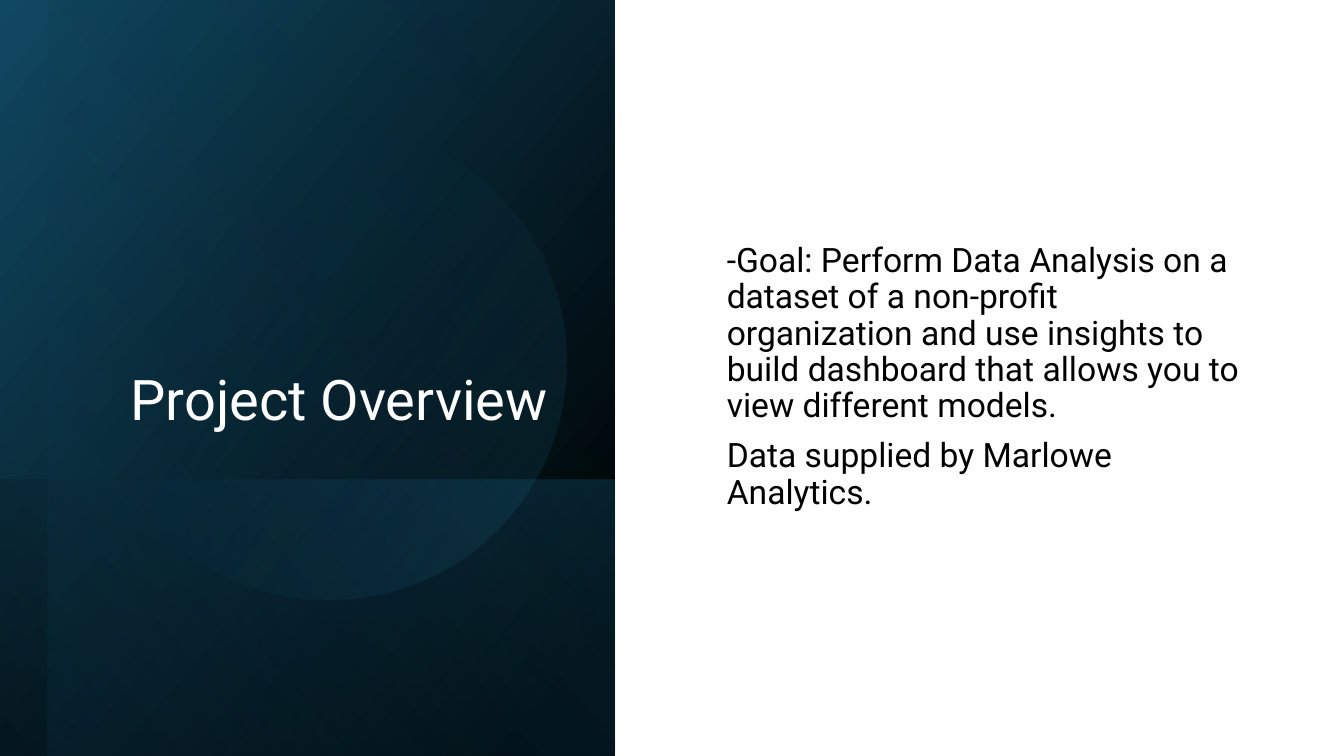
import pptx
import pptx.util
import pptx.oxml
import pptx.oxml.ns
import pptx.dml.color
import pptx.enum.shapes
import pptx.enum.text
from pptx.util import Inches

THEME = {
    "font": "Roboto",
    "title_size": 40,
    "body_size": 24,
    "white": "FFFFFF",
    "black": "000000",
    "navy": "104862",
    "teal": "156082",
    "sky": "46B1E1",
}
RECTANGLE = pptx.enum.shapes.MSO_SHAPE.RECTANGLE
OVAL = pptx.enum.shapes.MSO_SHAPE.OVAL
ALIGN = pptx.enum.text.PP_ALIGN
ANCHOR = pptx.enum.text.MSO_ANCHOR


def add_gradient_shape(kind, box, rotation, flipped, angle, stops):
    shape = slide.shapes.add_shape(kind, *map(Inches, box))
    shape.shadow.inherit = False
    shape.line.fill.background()
    shape.rotation = rotation
    properties = shape._element.spPr
    if flipped:
        properties.xfrm.set("flipH", "1")
    stop_xml = "".join(
        f'<a:gs pos="{position * 1000}"><a:srgbClr val="{THEME[color]}">'
        f'<a:alpha val="{opacity * 1000}"/></a:srgbClr></a:gs>'
        for position, color, opacity in stops
    )
    gradient = pptx.oxml.parse_xml(
        f'<a:gradFill {pptx.oxml.ns.nsdecls("a")} rotWithShape="1">'
        f'<a:gsLst>{stop_xml}</a:gsLst>'
        f'<a:lin ang="{angle * 60000}" scaled="0"/></a:gradFill>'
    )
    properties.insert(2, gradient)


def add_text(box, paragraphs, size, color, anchor, paragraph_format):
    frame = slide.shapes.add_textbox(*map(Inches, box)).text_frame
    frame.word_wrap = True
    frame.vertical_anchor = anchor
    frame.text = "\n".join(paragraphs)
    for paragraph in frame.paragraphs:
        for name, value in paragraph_format.items():
            setattr(paragraph, name, value)
        font = paragraph.runs[0].font
        for name, value in {"name": THEME["font"], "size": pptx.util.Pt(THEME[size])}.items():
            setattr(font, name, value)
        font.color.rgb = pptx.dml.color.RGBColor.from_string(THEME[color])


presentation = pptx.Presentation()
presentation.slide_width = Inches(13.33)
presentation.slide_height = Inches(7.5)
slide = presentation.slides.add_slide(presentation.slide_layouts[6])

panel_layers = [
    (RECTANGLE, (-0.7, 0.7, 7.5, 6.1), 90, True, 50, [(8, "black", 100), (100, "navy", 100)]),
    (RECTANGLE, (1.67, 3.08, 2.74, 6.1), 90, True, 130, [(2, "teal", 29), (100, "black", 30)]),
    (RECTANGLE, (-0.46, 0.93, 7.5, 5.63), 90, True, 130, [(0, "black", 0), (99, "teal", 11)]),
    (OVAL, (0.9, 1.23, 4.72, 4.72), 101.6, False, 290, [(39, "teal", 0), (100, "sky", 15)]),
]
for layer in panel_layers:
    add_gradient_shape(*layer)

add_text(
    (0.9, 0.64, 4.63, 3.7),
    ["Project Overview"],
    "title_size", "white", ANCHOR.BOTTOM,
    {"alignment": ALIGN.RIGHT, "line_spacing": 0.9},
)
add_text(
    (7.11, 0.71, 5.32, 6.07),
    [
        "-Goal: Perform Data Analysis on a dataset of a non-profit organization "
        "and use insights to build dashboard that allows you to view different models.",
        "Data supplied by Marlowe Analytics.",
    ],
    "body_size", "black", ANCHOR.MIDDLE,
    {"alignment": ALIGN.LEFT, "line_spacing": 0.9, "space_before": pptx.util.Pt(10)},
)

presentation.save("out.pptx")
